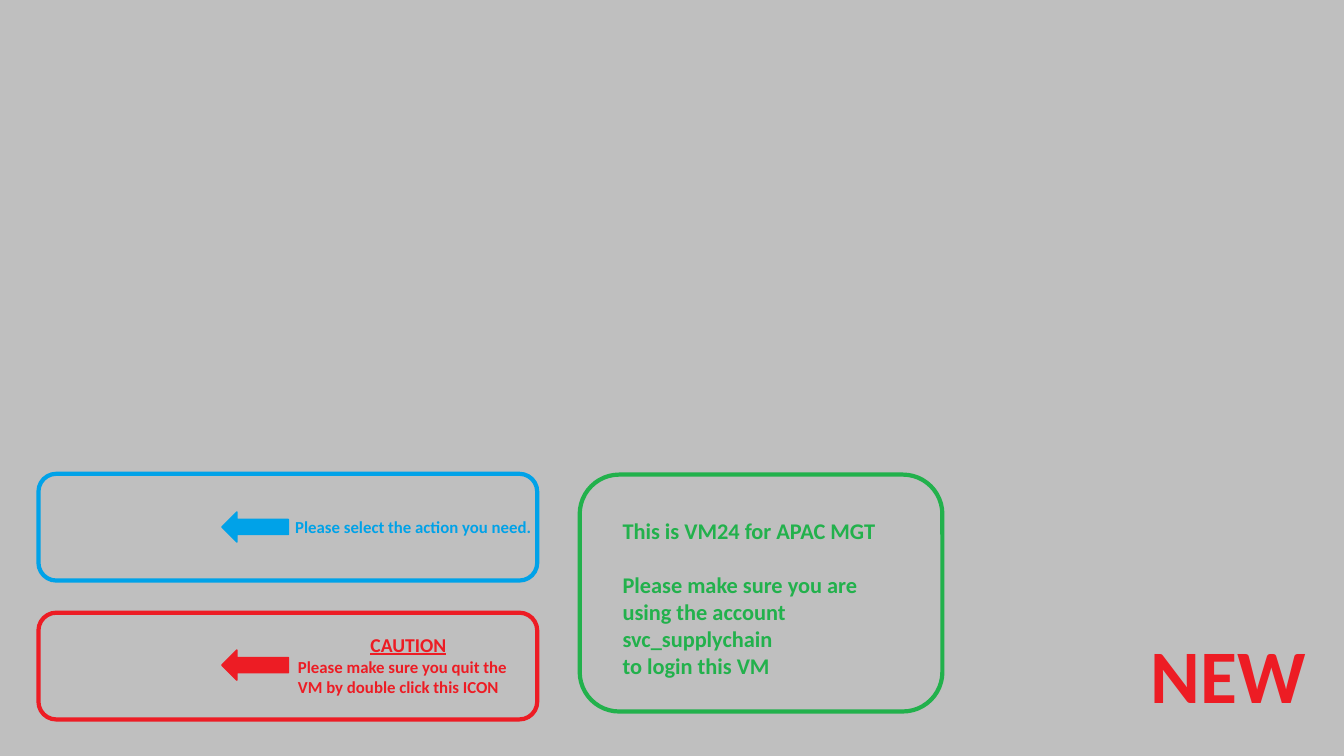
"""Build the virtual machine wallpaper slide with its three notice frames."""
from pptx import Presentation
from pptx.dml.color import RGBColor
from pptx.enum.shapes import MSO_SHAPE
from pptx.enum.text import MSO_AUTO_SIZE, PP_ALIGN
from pptx.util import Cm, Pt

FRAME, ARROW = MSO_SHAPE.ROUNDED_RECTANGLE, MSO_SHAPE.LEFT_ARROW
FIT_SHAPE = MSO_AUTO_SIZE.SHAPE_TO_FIT_TEXT
LEFT, CENTER = PP_ALIGN.LEFT, PP_ALIGN.CENTER

GRAY, RED, BLUE, GREEN = "BFBFBF", "ED1C24", "00A2E8", "22B14C"

FRAMES = [
    ((14.61, 11.96, 9.14, 5.97), GREEN),
    ((0.97, 11.94, 12.57, 2.69), BLUE),
    ((0.97, 15.44, 12.57, 2.69), RED),
]
ARROWS = [
    ((5.59, 12.9, 1.68, 0.76), BLUE),
    ((5.59, 16.38, 1.68, 0.76), RED),
]
# Each paragraph: text, size, alignment, underline, space after
NOTICES = [
    ((28.75, 15.7, 4.47, 2.57), RED, False, [("NEW", 54, LEFT, False, 0)]),
    ((7.19, 12.9, 6.53, 0.76), BLUE, False,
     [("Please select the action you need.", 12, LEFT, False, 0)]),
    ((7.26, 15.82, 6.07, 1.88), RED, True, [
        ("CAUTION", 14, CENTER, True, 0),
        ("Please make sure you quit the VM by double click this ICON", 12, LEFT, False, 0),
    ]),
    ((15.44, 12.9, 7.7, 4.37), GREEN, True, [
        ("This is VM24 for APAC MGT", 16, LEFT, False, 19.5),
        ("Please make sure you are using the account svc_supplychain", 16, LEFT, False, 0),
        ("to login this VM", 16, LEFT, False, 0),
    ]),
]


def color(value):
    return RGBColor.from_string(value)


def add_outlined_shape(kind, box, line_color, line_width, filled):
    shape = slide.shapes.add_shape(kind, *map(Cm, box))
    shape.shadow.inherit = False
    shape.line.color.rgb = color(line_color)
    shape.line.width = Pt(line_width)
    if filled:
        shape.fill.solid()
        shape.fill.fore_color.rgb = color(line_color)
    else:
        shape.fill.background()


def add_notice(box, text_color, wrap, lines):
    frame = slide.shapes.add_textbox(*map(Cm, box)).text_frame
    frame.word_wrap = wrap
    frame.auto_size = FIT_SHAPE
    for index, (text, size, alignment, underline, space_after) in enumerate(lines):
        paragraph = frame.add_paragraph() if index else frame.paragraphs[0]
        paragraph.text = text
        paragraph.alignment = alignment
        paragraph.space_after = Pt(space_after)
        font = paragraph.font
        font.name, font.size, font.bold = "Calibri", Pt(size), True
        font.underline = underline
        font.color.rgb = color(text_color)


presentation = Presentation()
presentation.slide_width, presentation.slide_height = Cm(33.87), Cm(19.05)
slide = presentation.slides.add_slide(presentation.slide_layouts[6])
slide.background.fill.solid()
slide.background.fill.fore_color.rgb = color(GRAY)

for box, frame_color in FRAMES:
    add_outlined_shape(FRAME, box, frame_color, 3, False)
for notice in NOTICES:
    add_notice(*notice)
for box, arrow_color in ARROWS:
    add_outlined_shape(ARROW, box, arrow_color, 1, True)

presentation.save("out.pptx")
